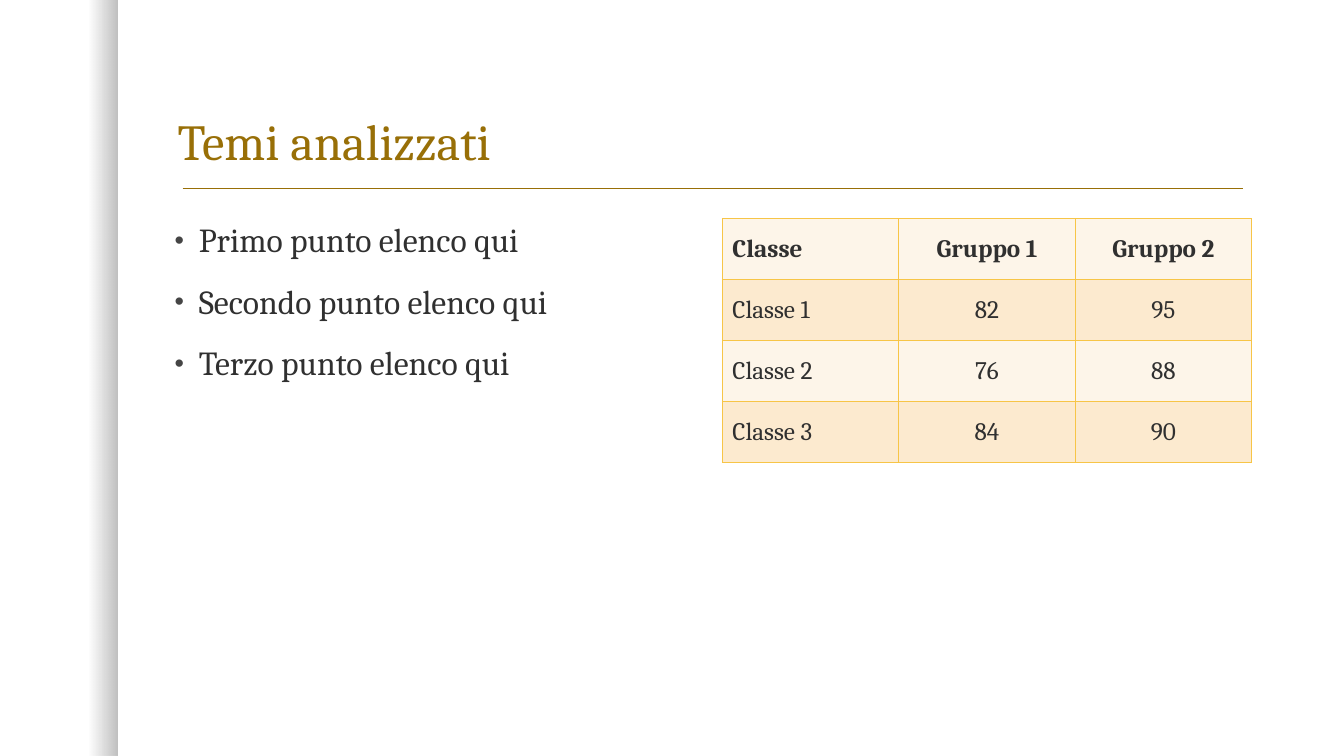
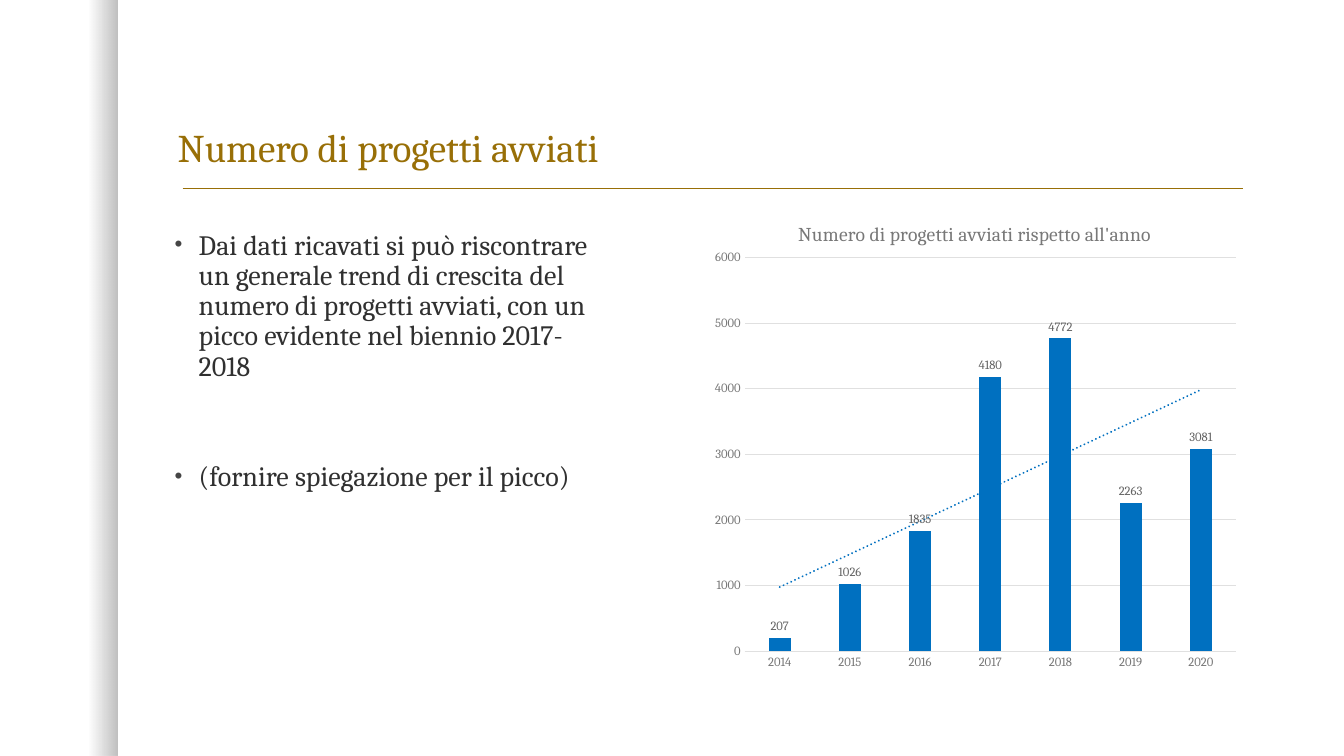
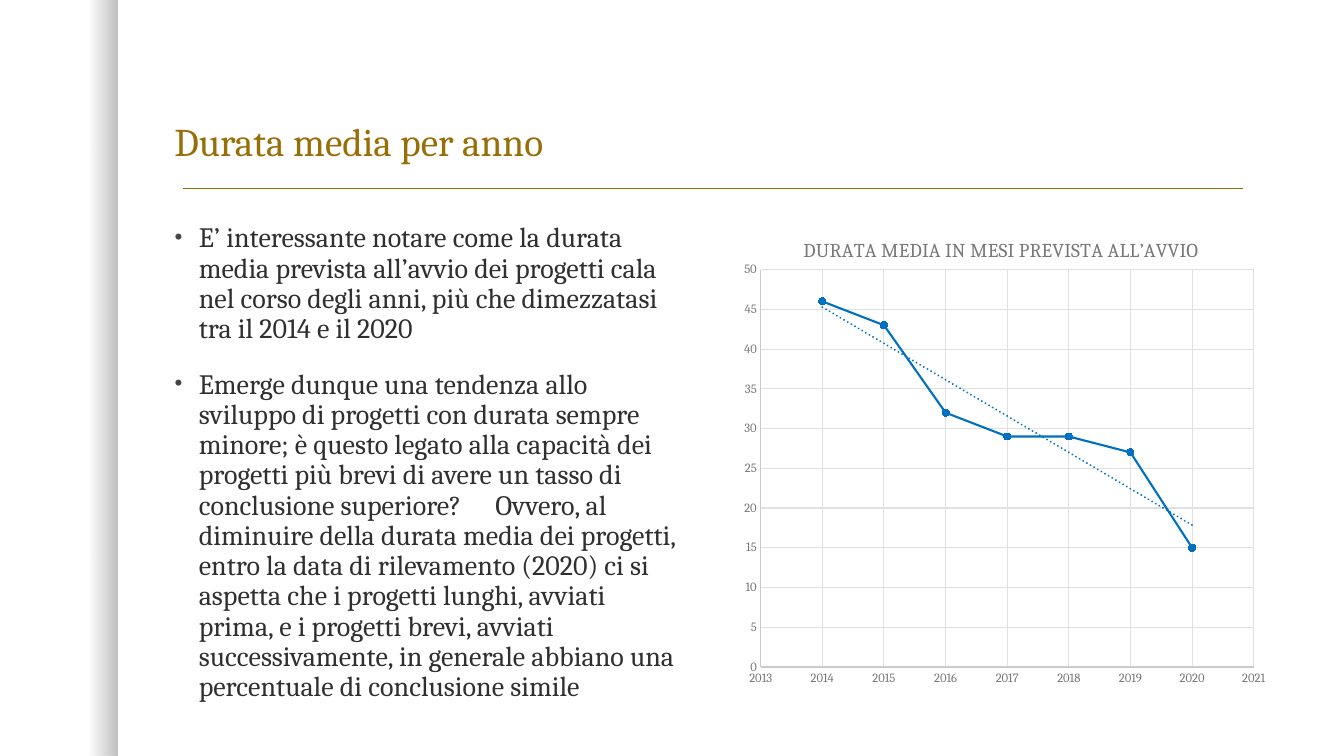
from dataclasses import dataclass

from lxml import etree
from pptx import Presentation, util as u
from pptx.chart import data as chart_data
from pptx.dml.color import RGBColor
from pptx.enum import chart as ch, dml, shapes, text
from pptx.oxml import parse_xml
from pptx.oxml.ns import nsdecls, qn


@dataclass(frozen=True)
class Theme:
    font: str = "Cambria"
    gold: str = "986F07"
    ink: str = "303030"
    bullet: str = "454545"
    shade: str = "000000"
    border: str = "F7C547"
    bands: tuple = ("FDF5E9", "FCEACF")
    blue: str = "0070C0"
    grid: str = "E0E0E0"
    axis: str = "CBCBCB"
    muted: str = "787878"
    label: str = "646464"
    title: int = 36
    subtitle: int = 28
    large: int = 24
    body: int = 20
    cell: int = 18
    chart_title: int = 14
    chart: int = 10
    tick: int = 9


# The page is a grid of 160 columns by 90 rows
COLUMNS, ROWS = 160, 90
UNIT = u.Inches(7.5) // ROWS


def grid(*lengths):
    return [u.Emu(round(length * UNIT)) for length in lengths]


def rgb(color):
    return RGBColor.from_string(color)


def set_line(line, color, width):
    line.color.rgb = rgb(color)
    line.width = u.Pt(width)


def set_layout(parent, index, **shares):
    """Place a chart part by shares of the chart's size."""
    for old in parent.findall(qn("c:layout")):
        parent.remove(old)
    layout = etree.Element(qn("c:layout"))
    manual = etree.SubElement(layout, qn("c:manualLayout"))
    if "w" in shares:
        etree.SubElement(manual, qn("c:layoutTarget"), val="inner")
    for key in "xy":
        etree.SubElement(manual, qn(f"c:{key}Mode"), val="edge")
    for key, share in shares.items():
        etree.SubElement(manual, qn(f"c:{key}"), val=str(share))
    parent.insert(index, layout)


class Slides:
    def __init__(self, theme):
        self.theme = theme
        self.deck = Presentation()
        self.deck.slide_width, self.deck.slide_height = grid(COLUMNS, ROWS)
        self.page = None

    def style(self, font, size, color, bold=False):
        font.name, font.size, font.bold = self.theme.font, u.Pt(size), bold
        font.color.rgb = rgb(color)

    # Shared frame: side shade, title and rule
    def new_page(self, title, size, place):
        self.page = self.deck.slides.add_slide(self.deck.slide_layouts[5])
        self.side_shade()
        self.title_rule()
        box = self.page.shapes.title
        box.left, box.top, box.width, box.height = grid(*place)
        frame = box.text_frame
        frame.text = title
        frame.word_wrap = True
        frame.auto_size = text.MSO_AUTO_SIZE.NONE
        frame.vertical_anchor = text.MSO_ANCHOR.BOTTOM
        para = frame.paragraphs[0]
        para.alignment = text.PP_ALIGN.LEFT
        para.line_spacing = 0.9
        self.style(para.font, size, self.theme.gold)

    def side_shade(self):
        band = self.page.shapes.add_shape(
            shapes.MSO_SHAPE.RECTANGLE, *grid(0, 0, 13.95, ROWS))
        band.shadow.inherit = False
        band.line.fill.background()
        band.fill.gradient()
        band.fill.gradient_angle = 0
        for stop, position, alpha in zip(
                band.fill.gradient_stops, (0.75, 1), (0, 25000)):
            stop.position = position
            stop.color.rgb = rgb(self.theme.shade)
            color = stop._gs.find(qn("a:srgbClr"))
            etree.SubElement(color, qn("a:alpha"), val=str(alpha))

    def title_rule(self):
        rule = self.page.shapes.add_connector(
            shapes.MSO_CONNECTOR.STRAIGHT, *grid(21.75, 22.45, 148, 22.45))
        set_line(rule.line, self.theme.gold, 1)
        etree.SubElement(rule._element.spPr, qn("a:effectLst"))

    # Bulleted text
    def bullets(self, place, lines, size, gap=18, tab=None):
        box = self.page.shapes.add_textbox(*grid(*place))
        frame = box.text_frame
        frame.word_wrap = True
        for number, line in enumerate(lines):
            para = frame.paragraphs[0] if number == 0 else frame.add_paragraph()
            para.text = line
            self.add_bullet(para)
            if tab and "\t" in line:
                tabs = etree.SubElement(para._p.get_or_add_pPr(), qn("a:tabLst"))
                etree.SubElement(tabs, qn("a:tab"), pos=str(grid(tab)[0]), algn="l")
            para.line_spacing = 0.9
            para.space_before = u.Pt(gap if number else 0)
            self.style(para.font, size, self.theme.ink)

    def add_bullet(self, para):
        props = para._p.get_or_add_pPr()
        indent = u.Inches(0.24)
        props.set("marL", str(indent))
        props.set("indent", str(-indent))
        color = etree.SubElement(props, qn("a:buClr"))
        etree.SubElement(color, qn("a:srgbClr"), val=self.theme.bullet)
        etree.SubElement(props, qn("a:buSzPct"), val="80000")
        etree.SubElement(props, qn("a:buFont"), typeface="Arial")
        etree.SubElement(props, qn("a:buChar"), char="•")

    # Table with banded rows
    def table(self, place, rows):
        table = self.page.shapes.add_table(
            len(rows), len(rows[0]), *grid(*place)).table
        for r, values in enumerate(rows):
            for c, value in enumerate(values):
                cell = table.cell(r, c)
                cell.text = value
                cell.vertical_anchor = text.MSO_ANCHOR.MIDDLE
                para = cell.text_frame.paragraphs[0]
                para.alignment = text.PP_ALIGN.CENTER if c else text.PP_ALIGN.LEFT
                self.style(para.font, self.theme.cell, self.theme.ink, bold=r == 0)
                self.add_borders(cell)
                cell.fill.solid()
                cell.fill.fore_color.rgb = rgb(self.theme.bands[r % 2])

    def add_borders(self, cell):
        props = cell._tc.get_or_add_tcPr()
        for side in "LRTB":
            line = etree.SubElement(props, qn(f"a:ln{side}"), w=str(u.Pt(1)))
            fill = etree.SubElement(line, qn("a:solidFill"))
            etree.SubElement(fill, qn("a:srgbClr"), val=self.theme.border)

    # Charts
    def chart(self, kind, place, data, title, title_at, plot_at):
        theme = self.theme
        chart = self.page.shapes.add_chart(kind, *grid(*place), data).chart
        self.style(chart.font, theme.chart, theme.ink)
        chart.has_legend = False
        chart.has_title = True
        frame = chart.chart_title.text_frame
        frame.text = title
        self.style(frame.paragraphs[0].font, theme.chart_title, theme.muted)
        set_layout(chart.chart_title._element, 1, **dict(zip("xy", title_at)))
        set_layout(chart.plots[0]._element.getparent(), 0,
                   **dict(zip("xywh", plot_at)))
        chart.plots[0].vary_by_categories = False
        return chart

    def axis(self, axis, line, gridlines=True, scale=None):
        axis.major_tick_mark = axis.minor_tick_mark = ch.XL_TICK_MARK.NONE
        self.style(axis.tick_labels.font, self.theme.tick, self.theme.muted)
        if line:
            set_line(axis.format.line, line, 0.75)
        else:
            axis.format.line.fill.background()
        axis.has_major_gridlines = gridlines
        if gridlines:
            set_line(axis.major_gridlines.format.line, self.theme.grid, 0.75)
        if scale:
            axis.minimum_scale, axis.maximum_scale, axis.major_unit = scale

    def trend(self, series):
        trend = parse_xml(
            f'<c:trendline {nsdecls("c", "a")}><c:spPr>'
            f'<a:ln w="{u.Pt(1.5)}" cap="rnd">'
            f'<a:solidFill><a:srgbClr val="{self.theme.blue}"/></a:solidFill>'
            '<a:prstDash val="sysDot"/></a:ln></c:spPr>'
            '<c:trendlineType val="linear"/><c:dispRSqr val="0"/>'
            '<c:dispEq val="0"/></c:trendline>')
        node = series._element
        first = node.find(qn("c:cat"))
        if first is None:
            first = node.find(qn("c:xVal"))
        first.addprevious(trend)

    def column_chart(self, place, years, values, scale, **parts):
        theme = self.theme
        data = chart_data.CategoryChartData()
        data.categories = [str(year) for year in years]
        data.add_series("Progetti", values)
        chart = self.chart(ch.XL_CHART_TYPE.COLUMN_CLUSTERED, place, data, **parts)
        self.axis(chart.category_axis, theme.grid, gridlines=False)
        self.axis(chart.value_axis, None, scale=scale)
        plot = chart.plots[0]
        plot.gap_width, plot.overlap = 219, -27
        series = plot.series[0]
        series.format.fill.solid()
        series.format.fill.fore_color.rgb = rgb(theme.blue)
        labels = series.data_labels
        labels.show_value = True
        labels.position = ch.XL_LABEL_POSITION.OUTSIDE_END
        self.style(labels.font, theme.tick, theme.label)
        self.trend(series)

    def scatter_chart(self, place, years, values, x_scale, y_scale, **parts):
        theme = self.theme
        data = chart_data.XyChartData()
        points = data.add_series("Durata")
        for year, value in zip(years, values):
            points.add_data_point(year, value)
        chart = self.chart(ch.XL_CHART_TYPE.XY_SCATTER_LINES, place, data, **parts)
        self.axis(chart.category_axis, theme.axis, scale=x_scale)
        self.axis(chart.value_axis, theme.axis, scale=y_scale)
        series = chart.plots[0].series[0]
        set_line(series.format.line, theme.blue, 1.5)
        series.format.line.dash_style = dml.MSO_LINE.SOLID
        marker = series.marker
        marker.style, marker.size = ch.XL_MARKER_STYLE.CIRCLE, 5
        marker.format.fill.solid()
        marker.format.fill.fore_color.rgb = rgb(theme.blue)
        set_line(marker.format.line, theme.blue, 0.75)
        self.trend(series)


def main():
    theme = Theme()
    slides = Slides(theme)
    years = range(2014, 2021)

    # Topics and table
    slides.new_page("Temi analizzati", theme.title, (19.95, 5, 129, 16))
    slides.bullets((19.6, 26.05, 63, 55), [
        "Primo punto elenco qui",
        "Secondo punto elenco qui",
        "Terzo punto elenco qui",
    ], theme.large)
    slides.table((86, 26.05, 63, 29), [
        ("Classe", "Gruppo 1", "Gruppo 2"),
        ("Classe 1", "82", "95"),
        ("Classe 2", "76", "88"),
        ("Classe 3", "84", "90"),
    ])

    # Projects started
    slides.new_page("Numero di progetti avviati", theme.subtitle,
                    (19.95, 11.9, 129, 9))
    slides.bullets((19.6, 26.9, 54, 55), [
        "Dai dati ricavati si può riscontrare un generale trend di crescita "
        "del numero di progetti avviati, con un picco evidente nel biennio "
        "2017-2018",
        "(fornire spiegazione per il picco)",
    ], theme.body, gap=57.3)
    slides.column_chart(
        (82.7, 24.25, 66.1, 56.75), years,
        (207, 1026, 1835, 4180, 4772, 2263, 3081), (0, 6000, 1000),
        title="Numero di progetti avviati rispetto all'anno",
        title_at=(0.18, 0.03), plot_at=(0.09, 0.113, 0.885, 0.826))

    # Average duration
    slides.new_page("Durata media per anno", theme.subtitle,
                    (19.55, 10, 129, 10.3))
    slides.bullets((19.6, 26.05, 63, 63.4), [
        "E’ interessante notare come la durata media prevista all’avvio dei "
        "progetti cala nel corso degli anni, più che dimezzatasi tra il 2014 "
        "e il 2020",
        "Emerge dunque una tendenza allo sviluppo di progetti con durata "
        "sempre minore; è questo legato alla capacità dei progetti più brevi "
        "di avere un tasso di conclusione superiore?\tOvvero, al diminuire "
        "della durata media dei progetti, entro la data di rilevamento (2020) "
        "ci si aspetta che i progetti lunghi, avviati prima, e i progetti "
        "brevi, avviati successivamente, in generale abbiano una percentuale "
        "di conclusione simile",
    ], theme.body, tab=38.2)
    slides.scatter_chart(
        (85.9, 26.1, 66.7, 57.7), years,
        (46, 43, 32, 29, 29, 27, 15), (2013, 2021, 1), (0, 50, 5),
        title="DURATA MEDIA IN MESI PREVISTA ALL’AVVIO",
        title_at=(0.14, 0.03), plot_at=(0.07, 0.104, 0.88, 0.82))

    slides.deck.save("out.pptx")


if __name__ == "__main__":
    main()
